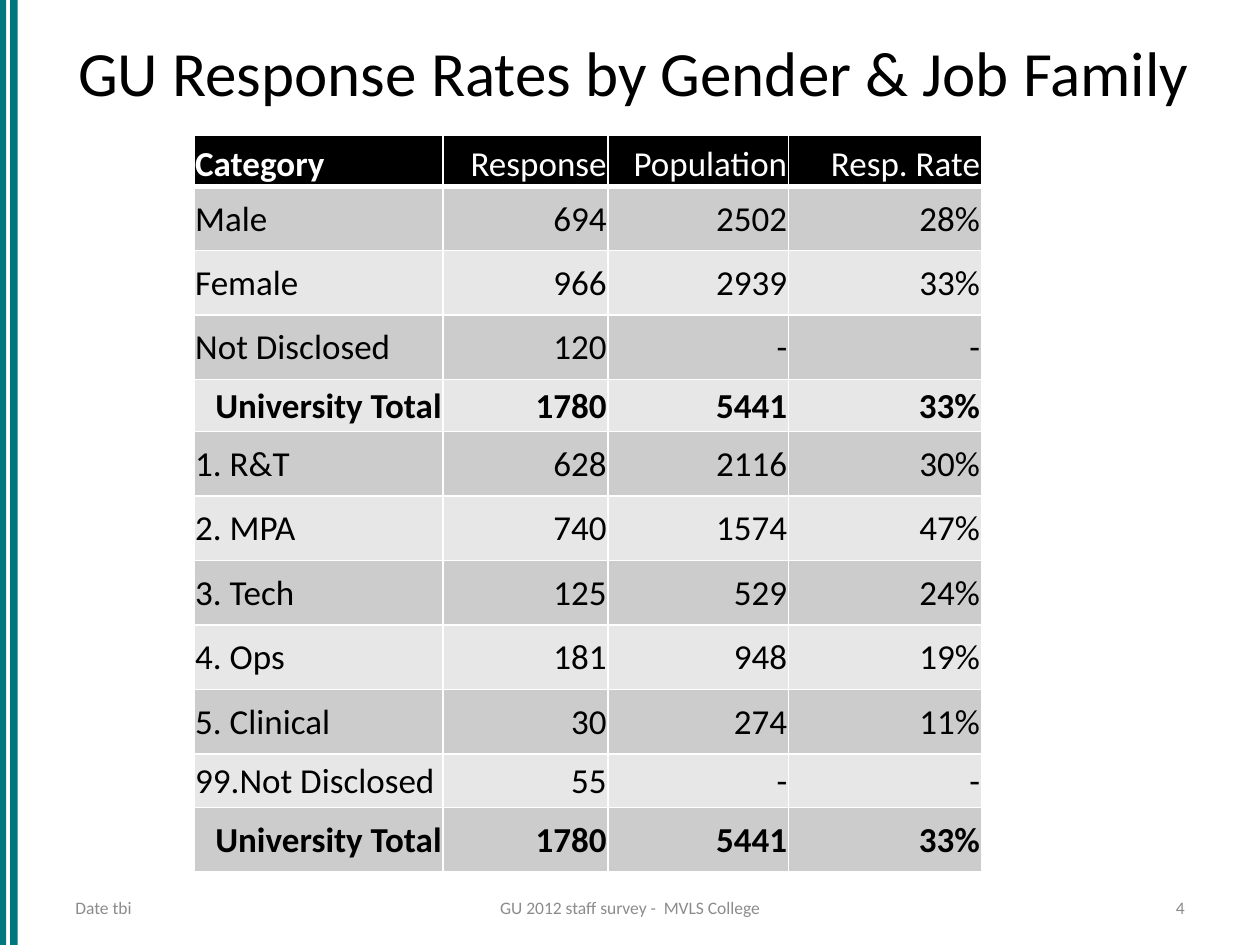
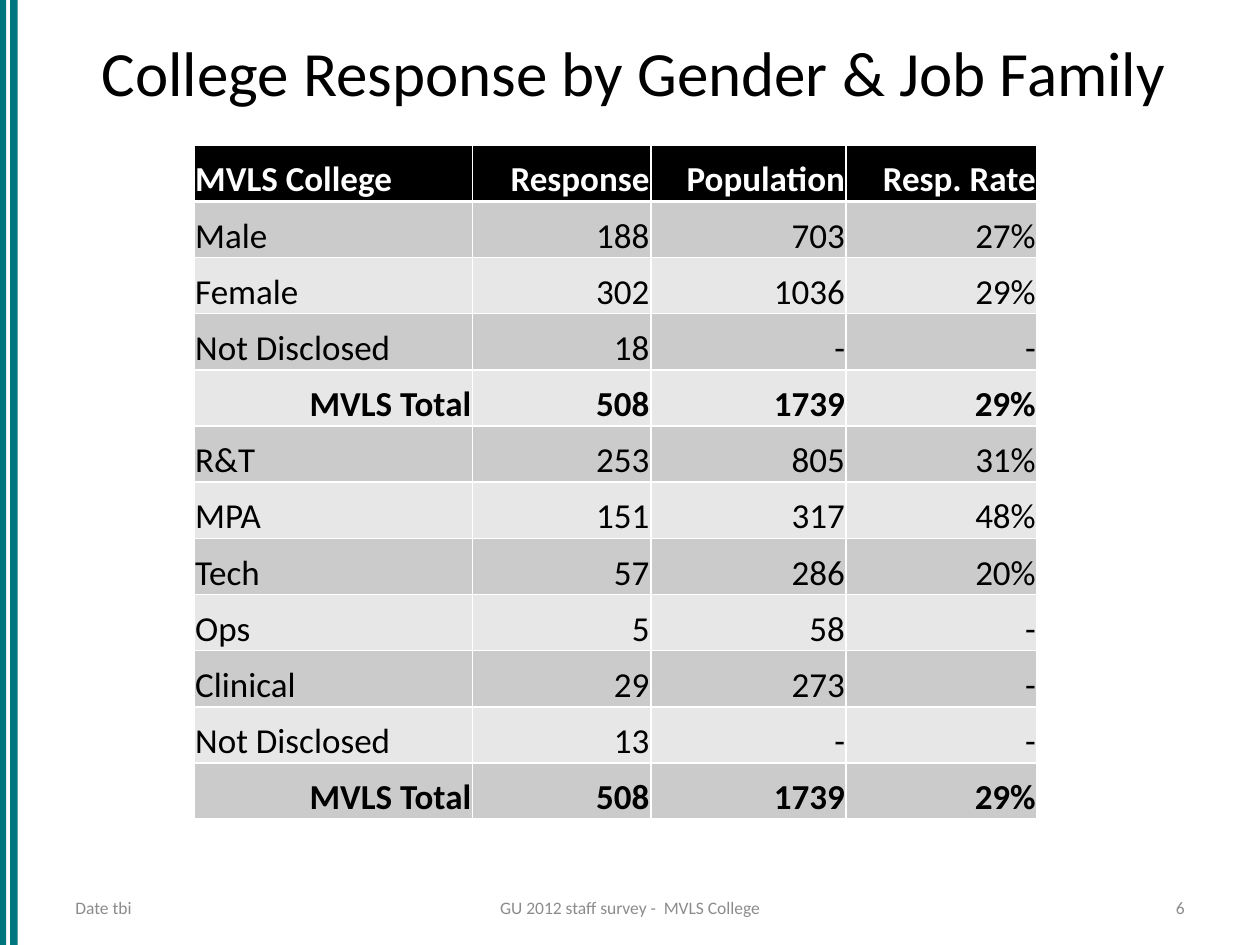
from lxml import etree
from pptx import Presentation
from pptx.dml.color import RGBColor
from pptx.enum.shapes import MSO_SHAPE
from pptx.enum.text import MSO_ANCHOR, PP_ALIGN
from pptx.oxml.ns import qn
from pptx.util import Pt

RECTANGLE = MSO_SHAPE.RECTANGLE
LEFT, CENTER, RIGHT = PP_ALIGN.LEFT, PP_ALIGN.CENTER, PP_ALIGN.RIGHT
MIDDLE, BOTTOM = MSO_ANCHOR.MIDDLE, MSO_ANCHOR.BOTTOM

TEAL = RGBColor(0x00, 0x77, 0x7F)
BLACK = RGBColor(0x00, 0x00, 0x00)
WHITE = RGBColor(0xFF, 0xFF, 0xFF)
FOOTER_GREY = RGBColor(0x8C, 0x8C, 0x8C)
MID_GREY = RGBColor(0xCC, 0xCC, 0xCC)
SOFT_GREY = RGBColor(0xCB, 0xCB, 0xCB)
PALE_GREY = RGBColor(0xE7, 0xE7, 0xE7)
FONT = "Calibri"

BAND_LEFTS = (5.8, -0.7)
BAND_WIDTH = 4.3
FOOTER_TOP, FOOTER_HEIGHT = 508.5, 20.5

SURVEY_SLIDES = [
    {
        "title": "GU Response Rates by Gender & Job Family",
        "number": "4",
        "top": 77.4,
        "widths": [142.4, 94.2, 103.2, 110.2],
        "heights": [29] + [36.85] * 3 + [29.8] + [36.85] * 5 + [30.8, 36.85],
        "header_rule": 3,
        "body_rule": 1,
        "bold_headers": 1,
        "body_anchor": MIDDLE,
        "dark_band": MID_GREY,
        "rows": [
            ("Category", "Response", "Population", "Resp. Rate"),
            ("Male", "694", "2502", "28%"),
            ("Female", "966", "2939", "33%"),
            ("Not Disclosed", "120", "-", "-"),
            ("University Total", "1780", "5441", "33%"),
            ("1. R&T", "628", "2116", "30%"),
            ("2. MPA", "740", "1574", "47%"),
            ("3. Tech", "125", "529", "24%"),
            ("4. Ops", "181", "948", "19%"),
            ("5. Clinical", "30", "274", "11%"),
            ("99.Not Disclosed", "55", "-", "-"),
            ("University Total", "1780", "5441", "33%"),
        ],
    },
    {
        "title": "College Response by Gender & Job Family",
        "number": "6",
        "top": 83,
        "widths": [159.2, 101.9, 111.7, 109.1],
        "heights": [32.1] * 12,
        "header_rule": 1.5,
        "body_rule": 1.5,
        "bold_headers": 4,
        "body_anchor": BOTTOM,
        "dark_band": SOFT_GREY,
        "rows": [
            ("MVLS College", "Response", "Population", "Resp. Rate"),
            ("Male", "188", "703", "27%"),
            ("Female", "302", "1036", "29%"),
            ("Not Disclosed", "18", "-", "-"),
            ("MVLS Total", "508", "1739", "29%"),
            ("R&T", "253", "805", "31%"),
            ("MPA", "151", "317", "48%"),
            ("Tech", "57", "286", "20%"),
            ("Ops", "5", "58", "-"),
            ("Clinical", "29", "273", "-"),
            ("Not Disclosed", "13", "-", "-"),
            ("MVLS Total", "508", "1739", "29%"),
        ],
    },
]


def add_text(slide, text, left, top, width, height, size, color, alignment):
    box = slide.shapes.add_textbox(Pt(left), Pt(top), Pt(width), Pt(height))
    text_frame = box.text_frame
    text_frame.word_wrap = True
    text_frame.vertical_anchor = MIDDLE
    text_frame.text = text
    paragraph = text_frame.paragraphs[0]
    paragraph.alignment = alignment
    font = paragraph.runs[0].font
    font.name, font.size, font.color.rgb = FONT, Pt(size), color


def add_borders(cell, top_width, bottom_width):
    properties = cell._tc.get_or_add_tcPr()
    for side, width in (("L", 1), ("R", 1), ("T", top_width), ("B", bottom_width)):
        line = etree.SubElement(properties, qn(f"a:ln{side}"), w=str(Pt(width)))
        fill = etree.SubElement(line, qn("a:solidFill"))
        etree.SubElement(fill, qn("a:srgbClr"), val=str(WHITE))


presentation = Presentation()
presentation.slide_width = Pt(720)
presentation.slide_height = Pt(540)

for survey in SURVEY_SLIDES:
    slide = presentation.slides.add_slide(presentation.slide_layouts[6])
    for band_left in BAND_LEFTS:
        band = slide.shapes.add_shape(RECTANGLE, Pt(band_left), 0, Pt(BAND_WIDTH), Pt(540))
        band.shadow.inherit = False
        band.fill.solid()
        band.fill.fore_color.rgb = TEAL
        band.line.fill.background()

    add_text(slide, survey["title"], 36, 9.4, 652.3, 62.6, 36, BLACK, CENTER)
    for text, left, width, alignment in (
        ("Date tbi", 36, 168, LEFT),
        ("GU 2012 staff survey -  MVLS College", 246, 228, CENTER),
        (survey["number"], 516, 168, RIGHT),
    ):
        add_text(slide, text, left, FOOTER_TOP, width, FOOTER_HEIGHT, 10, FOOTER_GREY, alignment)

    rows, widths, heights = survey["rows"], survey["widths"], survey["heights"]
    table = slide.shapes.add_table(
        len(rows), len(widths), Pt(110.8), Pt(survey["top"]), Pt(sum(widths)), Pt(sum(heights))
    ).table
    for column, width in zip(table.columns, widths):
        column.width = Pt(width)

    for row_index, values in enumerate(rows):
        table.rows[row_index].height = Pt(heights[row_index])
        is_header = row_index == 0
        is_total = values[0].endswith("Total")
        if is_header:
            fill_color = BLACK
        else:
            fill_color = survey["dark_band"] if row_index % 2 else PALE_GREY

        for column_index, value in enumerate(values):
            cell = table.cell(row_index, column_index)
            cell.margin_left = cell.margin_right = cell.margin_top = Pt(0.75)
            cell.margin_bottom = 0
            cell.vertical_anchor = BOTTOM if is_header else survey["body_anchor"]
            add_borders(
                cell,
                survey["body_rule"] if row_index == 1 else 1,
                survey["header_rule"] if is_header else 1,
            )
            cell.fill.solid()
            cell.fill.fore_color.rgb = fill_color
            cell.text_frame.text = value
            paragraph = cell.text_frame.paragraphs[0]
            paragraph.alignment = RIGHT if column_index or is_total else LEFT
            font = paragraph.runs[0].font
            font.name, font.size = FONT, Pt(20)
            font.color.rgb = WHITE if is_header else BLACK
            font.bold = is_total or (is_header and column_index < survey["bold_headers"])

presentation.save("out.pptx")
